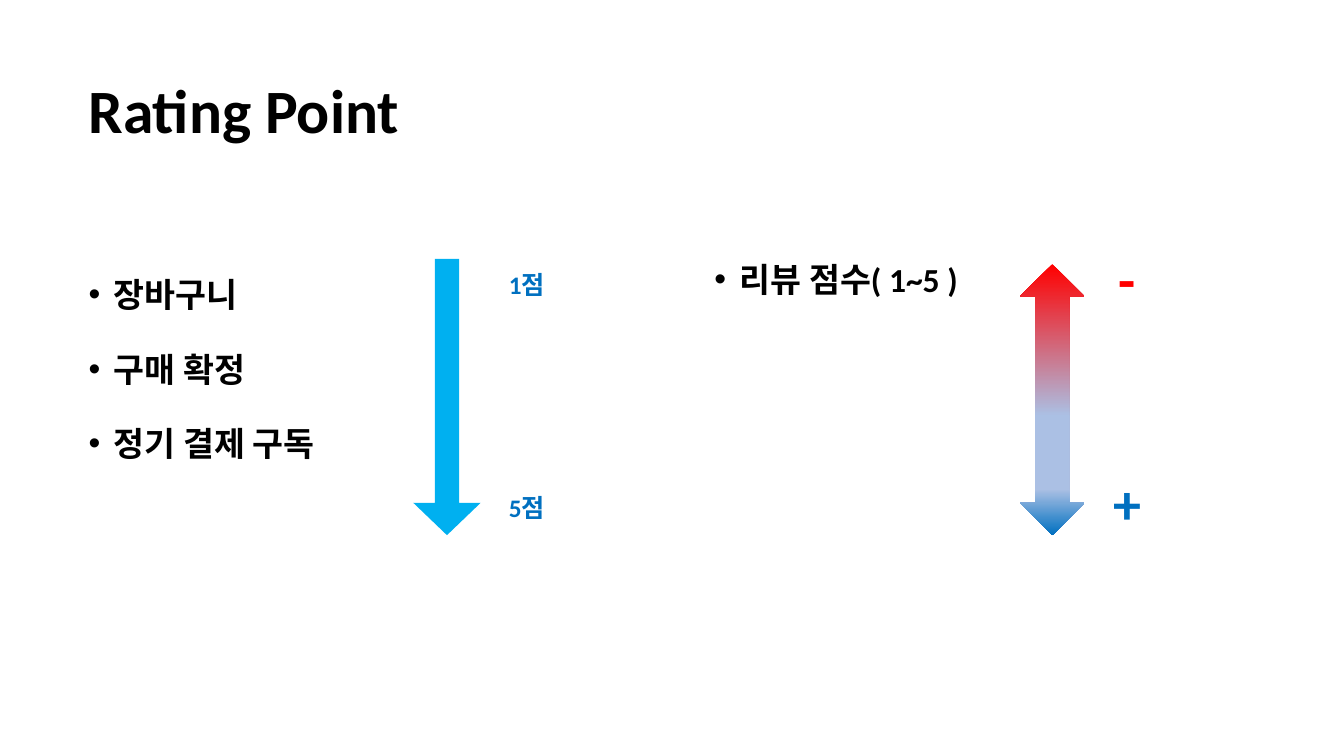
from lxml import etree
from pptx import Presentation
from pptx.dml.color import RGBColor
from pptx.enum.shapes import MSO_SHAPE
from pptx.enum.text import MSO_ANCHOR, MSO_AUTO_SIZE, PP_ALIGN
from pptx.oxml.ns import qn
from pptx.util import Pt

DOWN, UP_DOWN = MSO_SHAPE.DOWN_ARROW, MSO_SHAPE.UP_DOWN_ARROW
MIDDLE, LEFT = MSO_ANCHOR.MIDDLE, PP_ALIGN.LEFT
FIXED, GROW = MSO_AUTO_SIZE.NONE, MSO_AUTO_SIZE.SHAPE_TO_FIT_TEXT

BLACK = RGBColor(0x00, 0x00, 0x00)
RED = RGBColor(0xFF, 0x00, 0x00)
BLUE = RGBColor(0x00, 0x70, 0xC0)
SKY = RGBColor(0x00, 0xB0, 0xF0)
PALE = RGBColor(0xAB, 0xC0, 0xE4)

# Boxes are left, top, width, height in points
TITLE = ("Rating Point", (56, 29, 828, 104.4))
CRITERIA = [
    (["장바구니", "구매 확정", "정기 결제 구독"], (56.2, 177.8, 443.5, 247)),
    (["리뷰 점수( 1~5 )"], (503.3, 167, 443.5, 247)),
]
SCALE_ENDS = [
    ("1점", 18, BLUE, (356.4, 188.6, 41.8, 29)),
    ("5점", 18, BLUE, (356.4, 347.8, 41.8, 29)),
    ("-", 40, RED, (792, 171.4, 26.6, 55.4)),
    ("+", 40, BLUE, (788.4, 331.2, 34.6, 55.4)),
]
POINT_ARROW = (DOWN, (295.2, 185, 48.2, 197.3), (0.36, 0.48))
REVIEW_ARROW = (UP_DOWN, (728.6, 188.6, 46.1, 193.7), (0.39, 0.53))
REVIEW_STOPS = [(0, RED), (56, PALE), (83, PALE), (100, BLUE)]
INDENT = 18


def place(box):
    return [Pt(length) for length in box]


def write(paragraph, text, size, color):
    run = paragraph.add_run()
    run.text = text
    formats = {"name": "Calibri", "size": Pt(size), "bold": True}
    for key, value in formats.items():
        setattr(run.font, key, value)
    run.font.color.rgb = color


def add_bullet(paragraph):
    properties = paragraph._p.get_or_add_pPr()
    properties.set("marL", str(Pt(INDENT)))
    properties.set("indent", str(-Pt(INDENT)))
    etree.SubElement(properties, qn("a:buFont"), typeface="Arial")
    etree.SubElement(properties, qn("a:buChar"), char="•")


def add_arrow(slide, preset, box, adjustments):
    arrow = slide.shapes.add_shape(preset, *place(box))
    arrow.shadow.inherit = False
    arrow.line.fill.background()
    for index, value in enumerate(adjustments):
        arrow.adjustments[index] = value
    return arrow


def fill_downward(arrow, stops):
    """Fill the arrow with a gradient running from top to bottom."""
    arrow.fill.gradient()
    arrow.fill.gradient_angle = 270
    stop_list = arrow._element.spPr.find(".//" + qn("a:gsLst"))
    for old_stop in list(stop_list):
        stop_list.remove(old_stop)
    for percent, color in stops:
        stop = etree.SubElement(stop_list, qn("a:gs"), pos=str(percent * 1000))
        etree.SubElement(stop, qn("a:srgbClr"), val=str(color))


def main():
    deck = Presentation()
    deck.slide_width, deck.slide_height = Pt(960), Pt(540)
    slide = deck.slides.add_slide(deck.slide_layouts[5])

    heading, box = TITLE
    title = slide.shapes.title
    title.left, title.top, title.width, title.height = place(box)
    frame = title.text_frame
    frame.auto_size, frame.vertical_anchor = FIXED, MIDDLE
    frame.paragraphs[0].alignment = LEFT
    frame.paragraphs[0].line_spacing = 0.9
    write(frame.paragraphs[0], heading, 44, BLACK)

    for items, box in CRITERIA:
        frame = slide.shapes.add_textbox(*place(box)).text_frame
        frame.word_wrap = True
        for number, item in enumerate(items):
            paragraph = frame.add_paragraph() if number else frame.paragraphs[0]
            paragraph.line_spacing = 1.5
            paragraph.space_before = Pt(10)
            add_bullet(paragraph)
            write(paragraph, item, 24, BLACK)

    for label, size, color, box in SCALE_ENDS:
        frame = slide.shapes.add_textbox(*place(box)).text_frame
        frame.word_wrap, frame.auto_size = False, GROW
        write(frame.paragraphs[0], label, size, color)

    point_arrow = add_arrow(slide, *POINT_ARROW)
    point_arrow.fill.solid()
    point_arrow.fill.fore_color.rgb = SKY
    fill_downward(add_arrow(slide, *REVIEW_ARROW), REVIEW_STOPS)

    deck.save("out.pptx")


if __name__ == "__main__":
    main()
